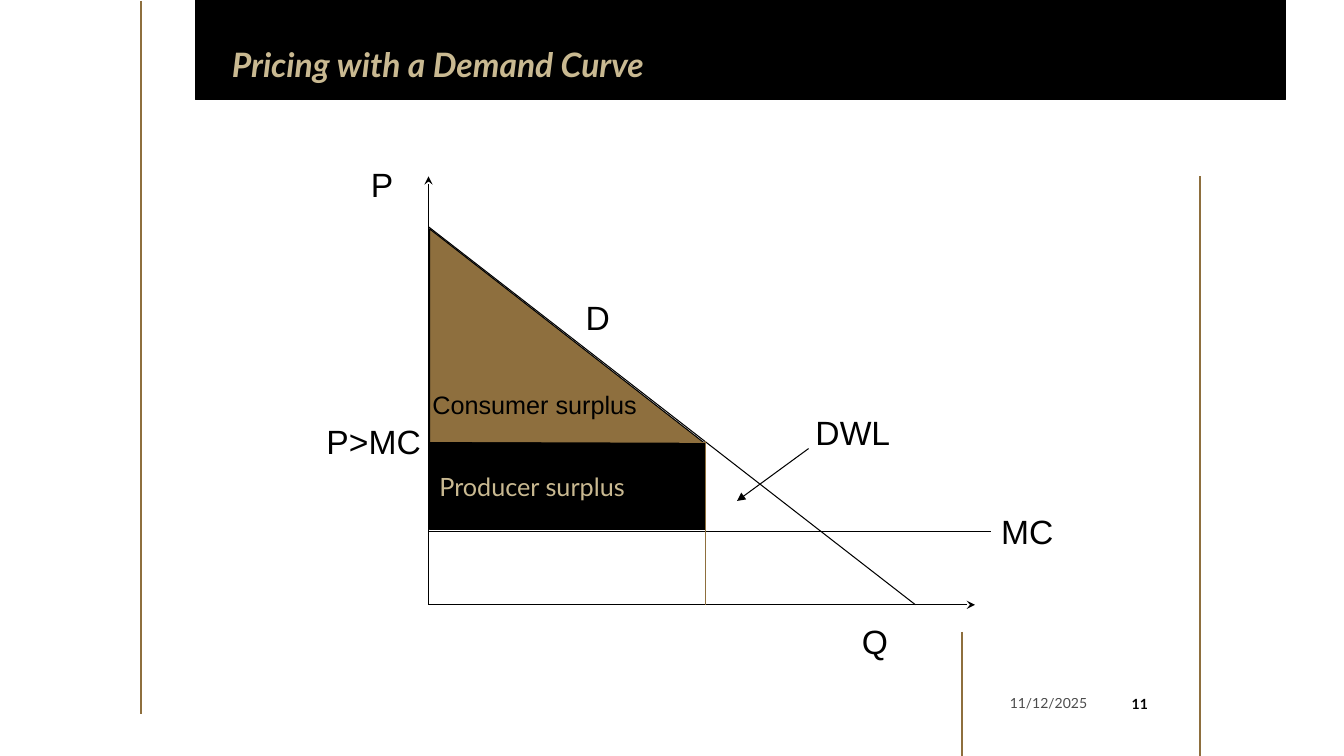
import pptx
import pptx.util
import pptx.dml.color
import pptx.enum.shapes
import pptx.enum.text
import pptx.oxml
import pptx.oxml.ns

Inches = pptx.util.Inches
Pt = pptx.util.Pt
SHAPE = pptx.enum.shapes.MSO_SHAPE
ALIGN = pptx.enum.text.PP_ALIGN
ANCHOR = pptx.enum.text.MSO_ANCHOR
FIT = pptx.enum.text.MSO_AUTO_SIZE

HUES = {"black": "000000", "gold": "8E6F3E", "sand": "C9B991"}


def hue(name):
    return pptx.dml.color.RGBColor.from_string(HUES[name])


def node(tag, **attrs):
    item = pptx.oxml.parse_xml(f"<a:{tag} {pptx.oxml.ns.nsdecls('a')}/>")
    for key, value in attrs.items():
        item.set(key, value)
    return item


class Chart:
    """Style and current slide."""

    def __init__(self, slide):
        self.slide = slide
        self.shapes = slide.shapes

    def fill_text(self, shape, text, size, font="Arial", color="black", bold=False,
                  italic=False, align=ALIGN.LEFT, anchor=ANCHOR.TOP, wrap=True):
        frame = shape.text_frame
        frame.word_wrap = wrap
        frame.vertical_anchor = anchor
        para = frame.paragraphs[0]
        para.alignment = align
        run = para.add_run()
        run.text = text
        run.font.size = Pt(size)
        run.font.name = font
        run.font.bold = bold
        run.font.italic = italic
        run.font.color.rgb = hue(color)
        return run

    def title(self, text, x, y, w, h):
        shape = self.shapes.title
        shape.left, shape.top = Inches(x), Inches(y)
        shape.width, shape.height = Inches(w), Inches(h)
        self.fill_text(shape, text, 24, "Lato", "sand", bold=True, italic=True)
        frame = shape.text_frame
        frame.margin_left = frame.margin_right = 0
        frame.margin_top = frame.margin_bottom = 0
        frame.auto_size = FIT.SHAPE_TO_FIT_TEXT
        frame.paragraphs[0].line_spacing = 0.9

    def text(self, text, x, y, w, h, size, **style):
        box = self.shapes.add_textbox(Inches(x), Inches(y), Inches(w), Inches(h))
        return self.fill_text(box, text, size, **style)

    def label(self, text, x, y, w, h=0.5, size=24):
        self.text(text, x, y, w, h, size, wrap=False)
        self.shapes[-1].text_frame.auto_size = FIT.SHAPE_TO_FIT_TEXT

    def paint(self, shape, fill, width=0.75):
        shape.shadow.inherit = False
        shape.fill.solid()
        shape.fill.fore_color.rgb = hue(fill)
        shape.line.color.rgb = hue("black")
        shape.line.width = Pt(width)

    def rect(self, x, y, w, h, width=0.75):
        shape = self.shapes.add_shape(
            SHAPE.RECTANGLE, Inches(x), Inches(y), Inches(w), Inches(h))
        self.paint(shape, "black", width)
        return shape

    def badge(self, text, x, y, w, h):
        shape = self.shapes.add_shape(
            SHAPE.OVAL, Inches(x), Inches(y), Inches(w), Inches(h))
        shape.shadow.inherit = False
        shape.fill.background()
        shape.line.fill.background()
        frame = shape.text_frame
        frame.margin_left = frame.margin_right = Inches(0.02)
        self.fill_text(shape, text, 10, "Lato", bold=True, align=ALIGN.CENTER,
                       anchor=ANCHOR.MIDDLE)

    def area(self, points, fill):
        start, *rest = [(Inches(x), Inches(y)) for x, y in points]
        form = self.shapes.build_freeform(*start, scale=1.0)
        form.add_line_segments(rest, close=True)
        self.paint(form.convert_to_shape(), fill)

    def line(self, x1, y1, x2, y2, color="black", width=0.75, head=None, tail=None):
        link = self.shapes.add_connector(
            pptx.enum.shapes.MSO_CONNECTOR.STRAIGHT,
            Inches(x1), Inches(y1), Inches(x2), Inches(y2))
        link.line.color.rgb = hue(color)
        link.line.width = Pt(width)
        props = link._element.spPr
        for tag, kind in (("headEnd", head), ("tailEnd", tail)):
            if kind:
                props.find(pptx.oxml.ns.qn("a:ln")).append(node(tag, type=kind))
        props.append(node("effectLst"))


def main():
    deck = pptx.Presentation()
    deck.slide_width, deck.slide_height = Inches(13.33), Inches(7.5)
    slide = deck.slides.add_slide(deck.slide_layouts[5])
    art = Chart(slide)

    # Banner, with the title brought in front of it
    band = art.rect(1.94, 0, 10.81, 0.99, width=1)
    art.title("Pricing with a Demand Curve", 2.3, 0.48, 8.74, 0.36)
    band._element.addnext(art.shapes.title._element)

    # Frame rules
    for x, top, base in ((1.4, 0.01, 7.08), (9.54, 6.27, 7.5), (11.9, 1.75, 7.5)):
        art.line(x, top, x, base, "gold", 1)

    # Date and page number
    date = art.text("11/12/2025", 9.76, 6.8, 1.12, 0.35, 10, font="Lato",
                    align=ALIGN.RIGHT, anchor=ANCHOR.MIDDLE)
    tint = date._r.find(".//" + pptx.oxml.ns.qn("a:srgbClr"))
    tint.append(node("alpha", val="70000"))
    art.badge("11", 11.04, 6.78, 0.53, 0.4)

    # Axes, demand and marginal cost
    left, base, cost = 4.25, 6, 5.27
    art.line(left, 1.75, left, base, head="stealth")
    art.line(left, base, 9.67, base, tail="stealth")
    art.line(left, 2.25, 9.08, base)
    art.line(left, cost, 9.83, cost)

    # Surplus areas
    maker = art.rect(4.26, 4.4, 2.74, 0.85)
    art.fill_text(maker, "Producer surplus", 18, "Lato", "sand", anchor=ANCHOR.MIDDLE)
    art.area([(4.26, 4.39), (4.26, 2.27), (6.98, 4.39)], "gold")
    art.label("Consumer surplus", 4.19, 3.81, 2.25, 0.4, 18)

    # Price and quantity guides, and the loss arrow
    art.line(7, 4.39, 4.28, 4.38, "gold", 0.5)
    art.line(7, 4.38, 7, base, "gold", 0.5)
    art.line(8.02, 4.45, 7.31, 4.97, tail="triangle")

    # Labels
    for text, x, y, w in (("P", 3.58, 1.58, 0.42), ("MC", 9.83, 5.02, 0.72),
                          ("D", 5.71, 2.9, 0.44), ("Q", 8.45, 6.11, 0.46),
                          ("P>MC", 3.14, 4.13, 1.14), ("DWL", 7.99, 4.04, 0.94)):
        art.label(text, x, y, w)

    deck.save("out.pptx")


if __name__ == "__main__":
    main()
